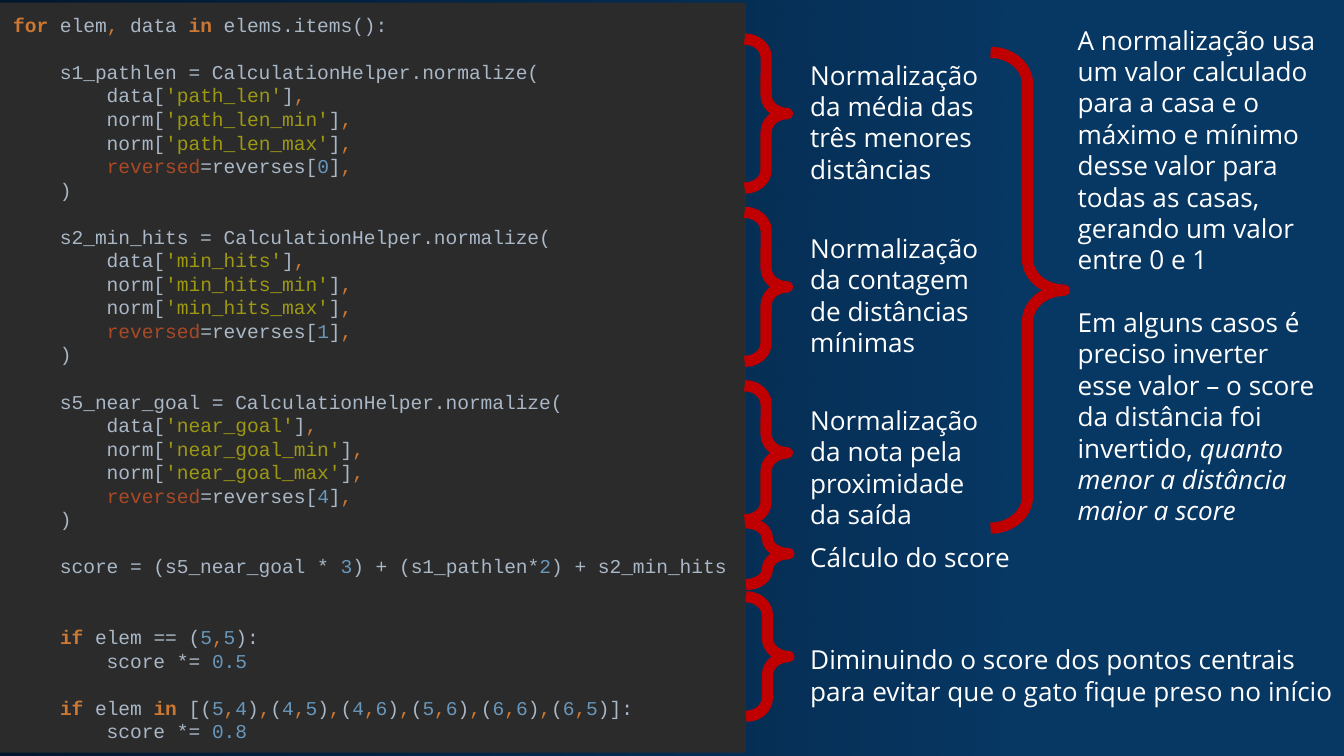
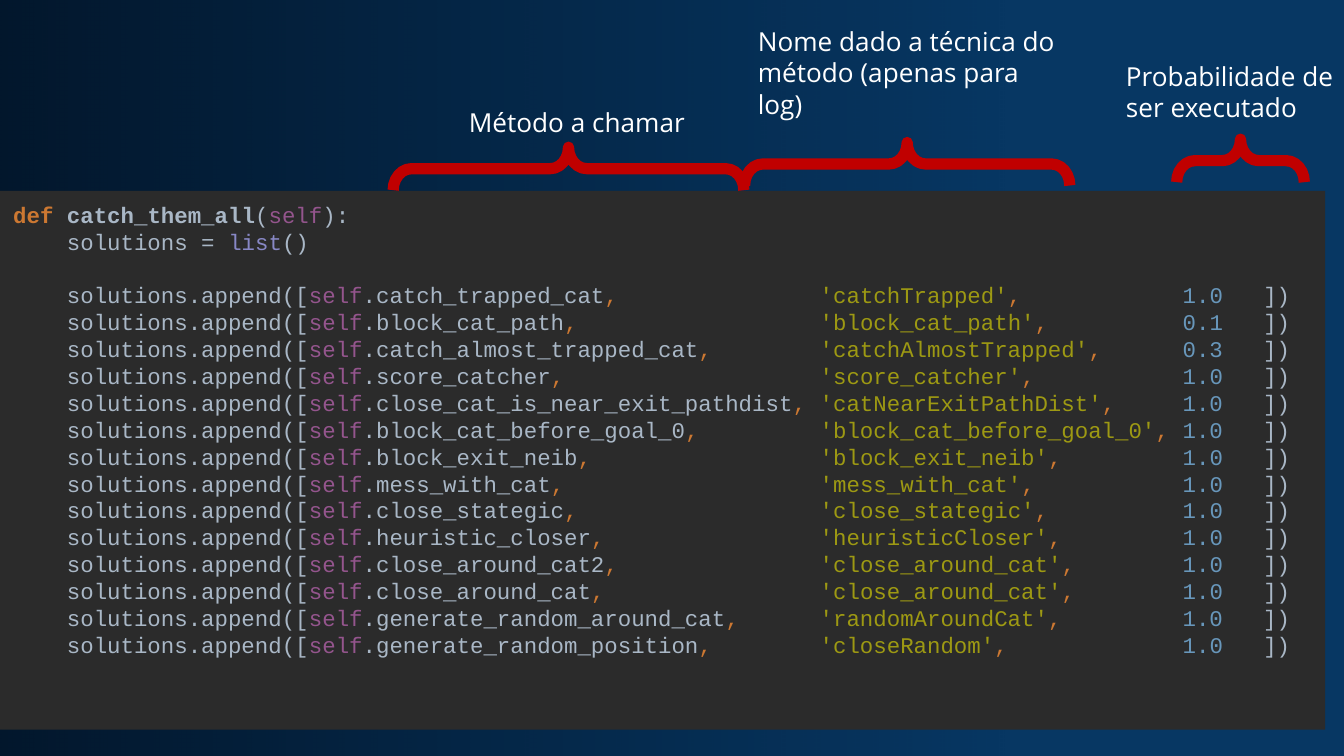
from copy import deepcopy
from itertools import groupby

from lxml import etree
from pptx import Presentation
from pptx.dml.color import RGBColor
from pptx.enum.shapes import MSO_SHAPE
from pptx.enum.text import MSO_ANCHOR, PP_ALIGN
from pptx.oxml.ns import qn
from pptx.util import Inches, Pt

RECTANGLE = MSO_SHAPE.RECTANGLE
RIGHT_BRACE = MSO_SHAPE.RIGHT_BRACE
MIDDLE, TOP, LEFT = MSO_ANCHOR.MIDDLE, MSO_ANCHOR.TOP, PP_ALIGN.LEFT

# Shared style
SLIDE_WIDTH = 10
SLIDE_HEIGHT = SLIDE_WIDTH * 9 / 16
BACKGROUND, SHADE, PANEL, BRACE, WHITE = "073763", "000208", "2B2B2B", "C00000", "FFFFFF"
CODE_FONT, NOTE_FONT = "Courier New", "Open Sans"
NOTE_SIZE, LINE_FACTOR = 14, 1.2
BRACE_DEPTH = 0.32

# Syntax colours
CODE_TEXT, KEYWORD, STRING, NUMBER = "A9B7C6", "CC7832", "9D9913", "6897BB"
KEYWORDS = {"for", "in", "if", "def"}
NAME_COLORS = {"self": "94558D", "list": "8888C6", "reversed": "AA4926"}
BOLD_WORDS = KEYWORDS | {"catch_them_all"}

# Code of the scoring slide
NORMALIZE_CALL = """    {score} = CalculationHelper.normalize(
        data['{key}'],
        norm['{key}_min'],
        norm['{key}_max'],
        reversed=reverses[{index}],
    )

"""
NORMALIZED_SCORES = [
    ("s1_pathlen", "path_len", 0),
    ("s2_min_hits", "min_hits", 1),
    ("s5_near_goal", "near_goal", 4),
]
SCORE_END = """    score = (s5_near_goal * 3) + (s1_pathlen*2) + s2_min_hits


    if elem == (5,5):
        score *= 0.5

    if elem in [(5,4),(4,5),(4,6),(5,6),(6,6),(6,5)]:
        score *= 0.8"""

# Method, technique name and probability
SOLUTIONS = [
    ("catch_trapped_cat", "catchTrapped", 1.0),
    ("block_cat_path", "block_cat_path", 0.1),
    ("catch_almost_trapped_cat", "catchAlmostTrapped", 0.3),
    ("score_catcher", "score_catcher", 1.0),
    ("close_cat_is_near_exit_pathdist", "catNearExitPathDist", 1.0),
    ("block_cat_before_goal_0", "block_cat_before_goal_0", 1.0),
    ("block_exit_neib", "block_exit_neib", 1.0),
    ("mess_with_cat", "mess_with_cat", 1.0),
    ("close_stategic", "close_stategic", 1.0),
    ("heuristic_closer", "heuristicCloser", 1.0),
    ("close_around_cat2", "close_around_cat", 1.0),
    ("close_around_cat", "close_around_cat", 1.0),
    ("generate_random_around_cat", "randomAroundCat", 1.0),
    ("generate_random_position", "closeRandom", 1.0),
]


def rgb(color):
    return RGBColor.from_string(color)


def add_text(paragraph, text, font=NOTE_FONT, size=NOTE_SIZE, color=WHITE,
             bold=False, italic=False):
    run = paragraph.add_run()
    run.text = text
    run.font.name, run.font.size = font, Pt(size)
    run.font.color.rgb = rgb(color)
    run.font.bold, run.font.italic = bold, italic
    return run


def character_kind(character):
    if character == ",":
        return "comma"
    return "word" if character.isalnum() or character in "_." else "other"


def code_tokens(line):
    """Yield each token of a code line with its colour and weight."""
    for position, part in enumerate(line.split("'")):
        if position % 2:
            yield f"'{part}'", STRING, False
            continue
        for kind, characters in groupby(part, character_kind):
            token = "".join(characters)
            if token.startswith("self."):
                yield "self", NAME_COLORS["self"], False
                token = token[len("self"):]
            if kind == "comma" or token in KEYWORDS:
                color = KEYWORD
            elif token[0].isdigit():
                color = NUMBER
            else:
                color = NAME_COLORS.get(token, CODE_TEXT)
            yield token, color, token in BOLD_WORDS


class Deck:
    def __init__(self):
        self.presentation = Presentation()
        self.presentation.slide_width = Inches(SLIDE_WIDTH)
        self.presentation.slide_height = Inches(SLIDE_HEIGHT)
        self.slide = None

    def new_slide(self):
        layout = self.presentation.slide_layouts[6]
        self.slide = self.presentation.slides.add_slide(layout)

    def shape(self, kind, left, top, width, height, fill=None):
        shape = self.slide.shapes.add_shape(
            kind, Inches(left), Inches(top), Inches(width), Inches(height))
        shape.shadow.inherit = False
        shape.line.fill.background()
        if fill:
            shape.fill.solid()
            shape.fill.fore_color.rgb = rgb(fill)
        else:
            shape.fill.background()
        return shape

    def master_background(self):
        """Put the background and the left-hand shade on the master."""
        master = self.presentation.slide_master
        master.background.fill.solid()
        master.background.fill.fore_color.rgb = rgb(BACKGROUND)
        band = self.shape(RECTANGLE, 0, 0, 7.5, SLIDE_HEIGHT)
        band.fill.gradient()
        band.fill.gradient_angle = 180
        for stop, position in zip(band.fill.gradient_stops, (0, 1)):
            stop.position = position
            stop.color.rgb = rgb(SHADE)
        colors = band._element.iter(qn("a:srgbClr"))
        for color, opacity in zip(list(colors), (0, 60000)):
            etree.SubElement(color, qn("a:alpha")).set("val", str(opacity))
        master.shapes._spTree.insert(2, band._element)

    def code_panel(self, code, left, top, width, height, size, bottom=0.05):
        panel = self.shape(RECTANGLE, left, top, width, height, PANEL)
        frame = panel.text_frame
        frame.word_wrap = True
        frame.vertical_anchor = MIDDLE
        frame.margin_right = 0
        frame.margin_bottom = Inches(bottom)
        paragraph = frame.paragraphs[0]
        paragraph.alignment = LEFT
        paragraph.line_spacing = Pt(size * LINE_FACTOR)
        run = None
        for number, line in enumerate(code.split("\n")):
            if number:
                paragraph.add_line_break()
                line_break = paragraph._p.findall(qn("a:br"))[-1]
                line_break.append(deepcopy(run._r.rPr))
            for token, color, bold in code_tokens(line) if line else ():
                run = add_text(paragraph, token, font=CODE_FONT, size=size,
                               color=color, bold=bold)

    def brace(self, left, top, height, width=BRACE_DEPTH, rotation=0):
        brace = self.shape(RIGHT_BRACE, left, top, width, height)
        brace.adjustments[0], brace.adjustments[1] = 0.426, 0.5
        brace.line.color.rgb = rgb(BRACE)
        brace.line.width = Pt(6)
        brace.rotation = rotation

    def note(self, left, top, width, height, *paragraphs):
        """Each paragraph is a list of (text, format) pairs or a plain text."""
        box = self.slide.shapes.add_textbox(
            Inches(left), Inches(top), Inches(width), Inches(height))
        frame = box.text_frame
        frame.word_wrap = True
        frame.vertical_anchor = TOP
        line_height = Pt(NOTE_SIZE * LINE_FACTOR)
        for number, content in enumerate(paragraphs):
            paragraph = frame.add_paragraph() if number else frame.paragraphs[0]
            paragraph.line_spacing = line_height
            if number:
                paragraph.space_before = line_height
            runs = [(content, {})] if isinstance(content, str) else content
            for text, text_format in runs:
                add_text(paragraph, text, **text_format)


def scoring_slide(deck):
    calls = "".join(NORMALIZE_CALL.format(score=score, key=key, index=index)
                    for score, key, index in NORMALIZED_SCORES)
    code = "for elem, data in elems.items():\n\n" + calls + SCORE_END
    deck.code_panel(code, 0, 0.02, 5.55, 5.58, size=10.5)

    # Braces beside the code: left, top, height
    for left, top, height in [(5.54, 0.29, 1.11), (5.54, 1.58, 1.11), (5.54, 2.87, 1),
                              (5.55, 3.89, 0.46), (5.55, 4.44, 0.89)]:
        deck.brace(left, top, height)

    # Explanations of each part: top, width, height, text
    for top, width, height, text in [
        (0.39, 1.48, 0.86, "Normalização da média das três menores distâncias"),
        (1.68, 1.62, 0.86, "Normalização da contagem de distâncias mínimas"),
        (2.96, 1.62, 0.86, "Normalização da nota pela proximidade da saída"),
        (3.98, 1.75, 0.46, "Cálculo do score"),
        (4.74, 4.09, 0.6, "Diminuindo o score dos pontos centrais para evitar "
                          "que o gato fique preso no início"),
    ]:
        deck.note(5.93, top, width, height, text)

    # Summary of the three normalizations
    deck.brace(7.37, 0.39, 3.54, width=0.55)
    deck.note(
        7.92, 0.13, 2.04, 4.05,
        "A normalização usa um valor calculado para a casa e o máximo e mínimo "
        "desse valor para todas as casas, gerando um valor entre 0 e 1",
        [("Em alguns casos é preciso inverter esse valor – o score da distância "
          "foi invertido, ", {}),
         ("quanto menor a distância maior a score", {"italic": True})])


def solutions_slide(deck):
    # Arguments aligned in columns
    lines = ["def catch_them_all(self):", "    solutions = list()", ""]
    for method, name, probability in SOLUTIONS:
        method_cell, name_cell = method + ",", f"'{name}',"
        lines.append(f"    solutions.append([self.{method_cell:<33}"
                     f"{name_cell:<27}{probability}   ])")
    deck.code_panel("\n".join(lines), 0, 1.42, 9.86, 4.01, size=12, bottom=0.51)

    # Braces above the columns
    for left, top, length in [(4.07, -0.05, 2.61), (6.59, 0.01, 2.42), (9.07, 0.72, 0.95)]:
        deck.brace(left, top, length, rotation=270)

    # Column explanations
    deck.note(3.39, 0.74, 1.9, 0.33, "Método a chamar")
    deck.note(5.54, 0.14, 2.42, 0.33, "Nome dado a técnica do método (apenas para log)")
    deck.note(8.28, 0.4, 1.9, 0.33, "Probabilidade de ser executado")


def main():
    deck = Deck()
    deck.new_slide()
    deck.master_background()
    scoring_slide(deck)
    deck.new_slide()
    solutions_slide(deck)
    deck.presentation.save("out.pptx")


if __name__ == "__main__":
    main()
